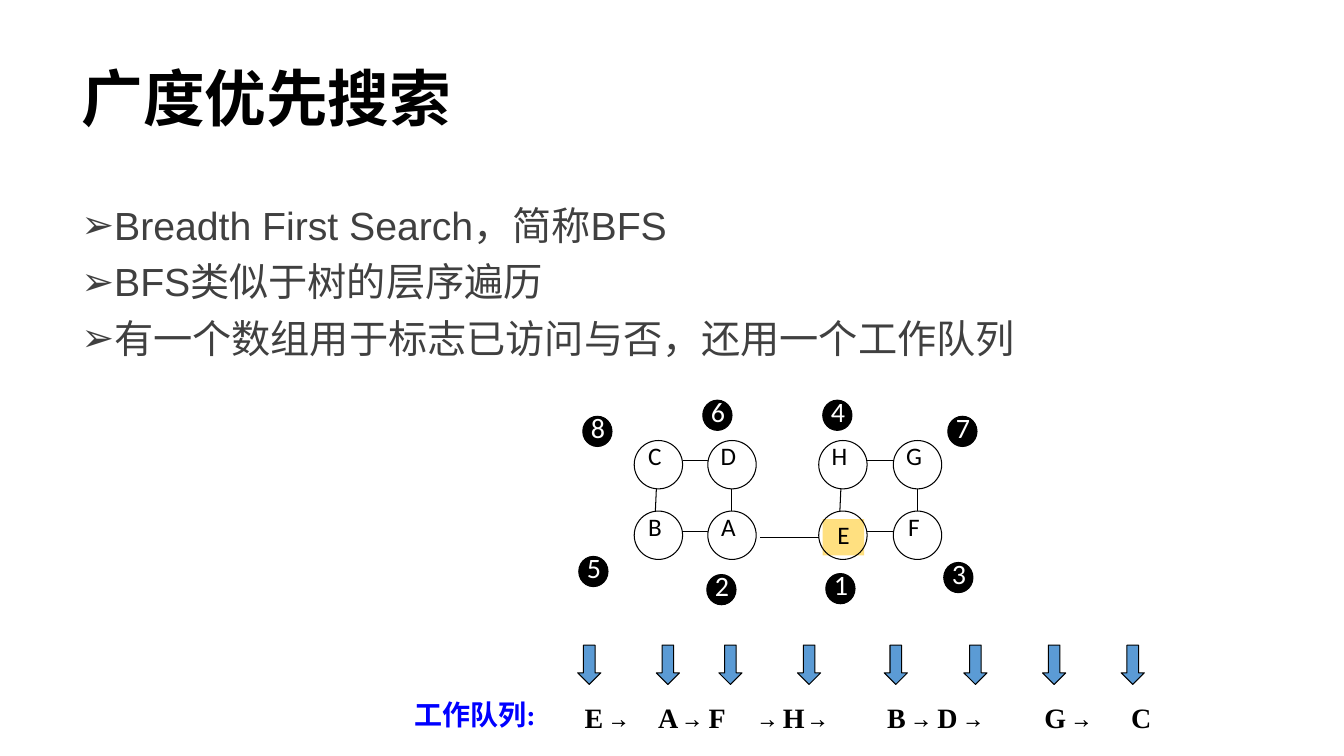
from lxml.etree import SubElement
from pptx import Presentation
from pptx.dml.color import RGBColor
from pptx.enum.shapes import MSO_CONNECTOR, MSO_SHAPE
from pptx.enum.text import MSO_ANCHOR, PP_ALIGN
from pptx.oxml.ns import qn
from pptx.util import Inches, Pt

BLACK = RGBColor(0x00, 0x00, 0x00)
WHITE = RGBColor(0xFF, 0xFF, 0xFF)
GREY = RGBColor(0x40, 0x40, 0x40)
BLUE = RGBColor(0x00, 0x00, 0xFF)
ARROW_BLUE = RGBColor(0x5B, 0x9B, 0xD5)
START_YELLOW = RGBColor(0xFF, 0xE0, 0x80)
SERIF, MONO = "Times New Roman", "Noto Sans Mono"

deck = Presentation()
deck.slide_width, deck.slide_height = Inches(13.33), Inches(7.5)
page = deck.slides.add_slide(deck.slide_layouts[6])


def add_text(text, left, top, width, height, size=20, font=SERIF, color=BLACK,
             bold=False, align=PP_ALIGN.LEFT, anchor=MSO_ANCHOR.TOP, wrap=True,
             inset=True, fill=None, spacing=1.0):
    """Add a text box, one paragraph a line; the → sign is set in the mono font."""
    box = page.shapes.add_textbox(Inches(left), Inches(top), Inches(width), Inches(height))
    if fill is not None:
        box.fill.solid()
        box.fill.fore_color.rgb = fill
    frame = box.text_frame
    frame.word_wrap = wrap
    frame.vertical_anchor = anchor
    if not inset:
        frame.margin_left = frame.margin_right = frame.margin_top = frame.margin_bottom = 0
    for number, line in enumerate(text.split("\n")):
        para = frame.add_paragraph() if number else frame.paragraphs[0]
        para.alignment = align
        para.line_spacing = spacing
        for piece in line.replace("→", "|→|").split("|"):
            if piece:
                span = para.add_run()
                span.text = piece
                span.font.name = MONO if piece == "→" else font
                span.font.size = Pt(size)
                span.font.bold = bold
                span.font.color.rgb = color
    return box


def add_outline(kind, left, top, width, height, fill=None):
    """Add a preset shape with a thin black outline."""
    shape = page.shapes.add_shape(kind, Inches(left), Inches(top), Inches(width), Inches(height))
    shape.shadow.inherit = False
    shape.line.color.rgb = BLACK
    shape.line.width = Pt(0.75)
    if fill is None:
        shape.fill.background()
    else:
        shape.fill.solid()
        shape.fill.fore_color.rgb = fill


# Title and bullets
add_text("广度优先搜索", 0.71, 0.28, 11.5, 1.45, size=44, bold=True,
         anchor=MSO_ANCHOR.MIDDLE, spacing=0.9)
points = add_text("Breadth First Search，简称BFS\nBFS类似于树的层序遍历\n"
                  "有一个数组用于标志已访问与否，还用一个工作队列",
                  0.71, 2, 11.5, 4.76, size=28, font="Arial", color=GREY, spacing=0.9)
for para in points.text_frame.paragraphs:
    para.space_before = Pt(10)
    properties = para._p.get_or_add_pPr()
    properties.set("marL", str(Inches(0.25)))
    properties.set("indent", str(-Inches(0.25)))
    SubElement(properties, qn("a:buFont"), typeface="Arial")
    SubElement(properties, qn("a:buChar"), char="➢")

# Graph edges: two squares and the bridge between them
NODE, ROWS = 0.48, (4.37, 5.07)
SQUARES = ((6.29, 7.02), (8.12, 8.86))
edges = [(7.54, 5.33, 8.12, 5.33)]
for left, right in SQUARES:
    edges += [(left + NODE, top + 0.2, right, top + 0.2) for top in ROWS]
    edges.append((left + 0.22, ROWS[0] + NODE, left + 0.21, ROWS[1]))
    edges.append((right + 0.24, ROWS[0] + NODE, right + 0.24, ROWS[1]))
for edge in edges:
    line = page.shapes.add_connector(MSO_CONNECTOR.STRAIGHT, *map(Inches, edge))
    line.line.color.rgb = BLACK
    line.line.width = Pt(0.75)
    SubElement(line._element.spPr, qn("a:effectLst"))

# Graph nodes, E being the start
columns = [left for square in SQUARES for left in square]
for top, letters in zip(ROWS, ("CDHG", "BAEF")):
    for left, letter in zip(columns, letters):
        start = letter == "E"
        shift = (0.04, 0.08) if start else (0, 0)
        add_text(letter, left + shift[0], top + shift[1], 0.41, 0.36, size=18, font="Calibri",
                 align=PP_ALIGN.CENTER, inset=False, fill=START_YELLOW if start else WHITE)
        add_outline(MSO_SHAPE.OVAL, left, top, NODE, NODE)

# Visit order badges
BADGES = [(8.19, 5.69), (7.01, 5.7), (9.36, 5.58), (8.16, 3.97),
          (5.74, 5.52), (6.97, 3.97), (9.4, 4.13), (5.78, 4.13)]
for order, (left, top) in enumerate(BADGES, start=1):
    add_outline(MSO_SHAPE.OVAL, left, top, 0.29, 0.3, fill=BLACK)
    add_text(str(order), left + 0.08, top - 0.06, 0.25, 0.37, font="Calibri", color=WHITE,
             align=PP_ALIGN.JUSTIFY, inset=False)

# Work queue: text, left, width, first indent, tab stops
QUEUE = [("E →", 5.41, 1.09, 0.29, ()),
         ("A →\tF\t→ H\t→", 6.43, 2.27, 0, (0.58, 0.88, 1.57)),
         ("B →\tD →", 8.7, 1.64, 0, (0.75,)),
         ("G →", 10.26, 0.77, 0, ()),
         ("C", 11.12, 0.4, 0, ())]
for text, left, width, indent, stops in QUEUE:
    box = add_text(text, left, 6.9, width, 0.44, bold=True)
    properties = box.text_frame.paragraphs[0]._p.get_or_add_pPr()
    properties.set("indent", str(Inches(indent)))
    if stops:
        tabs = SubElement(properties, qn("a:tabLst"))
        for stop in stops:
            SubElement(tabs, qn("a:tab"), pos=str(Inches(stop)), algn="l")
add_text("工作队列:", 4.01, 6.87, 1.42, 0.44, color=BLUE, bold=True, wrap=False)

# Arrows pointing at the queue
for left in (5.73, 6.51, 7.13, 7.91, 8.77, 9.56, 10.34, 11.12):
    add_outline(MSO_SHAPE.DOWN_ARROW, left, 6.4, 0.23, 0.39, fill=ARROW_BLUE)

deck.save("out.pptx")
